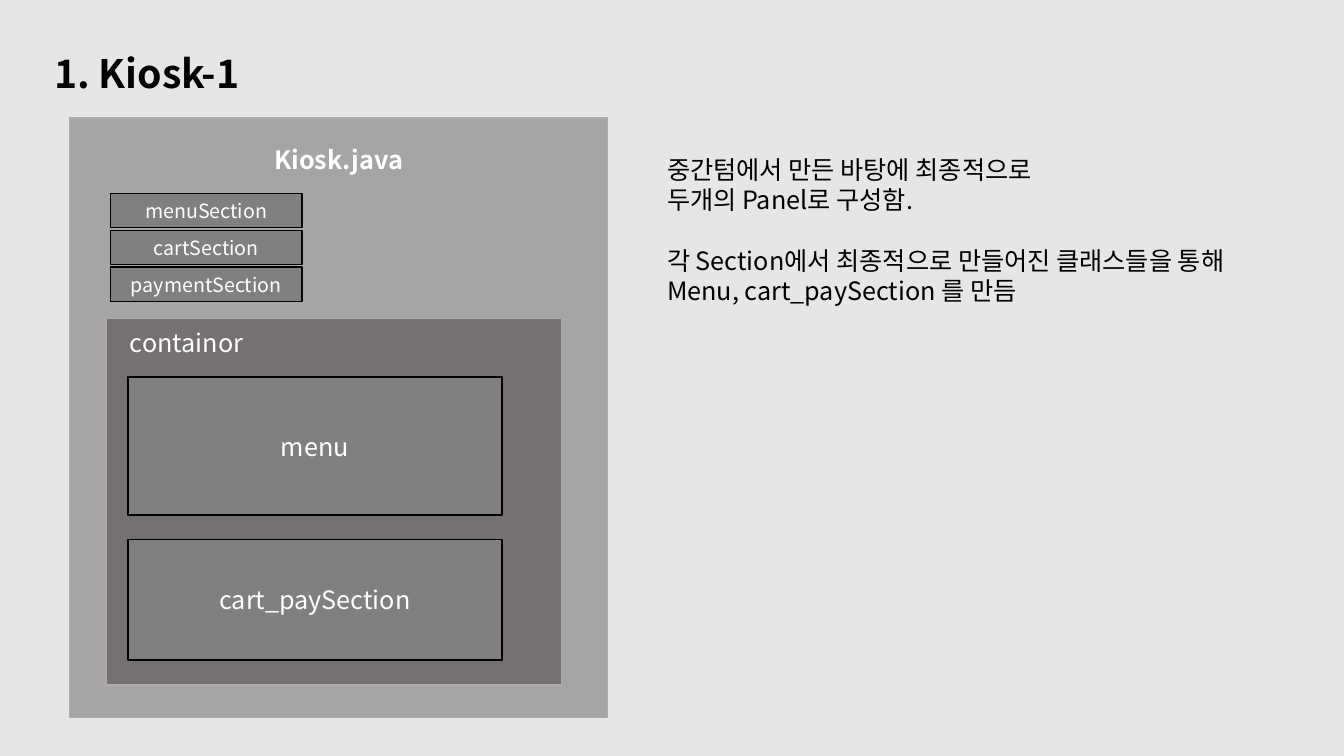
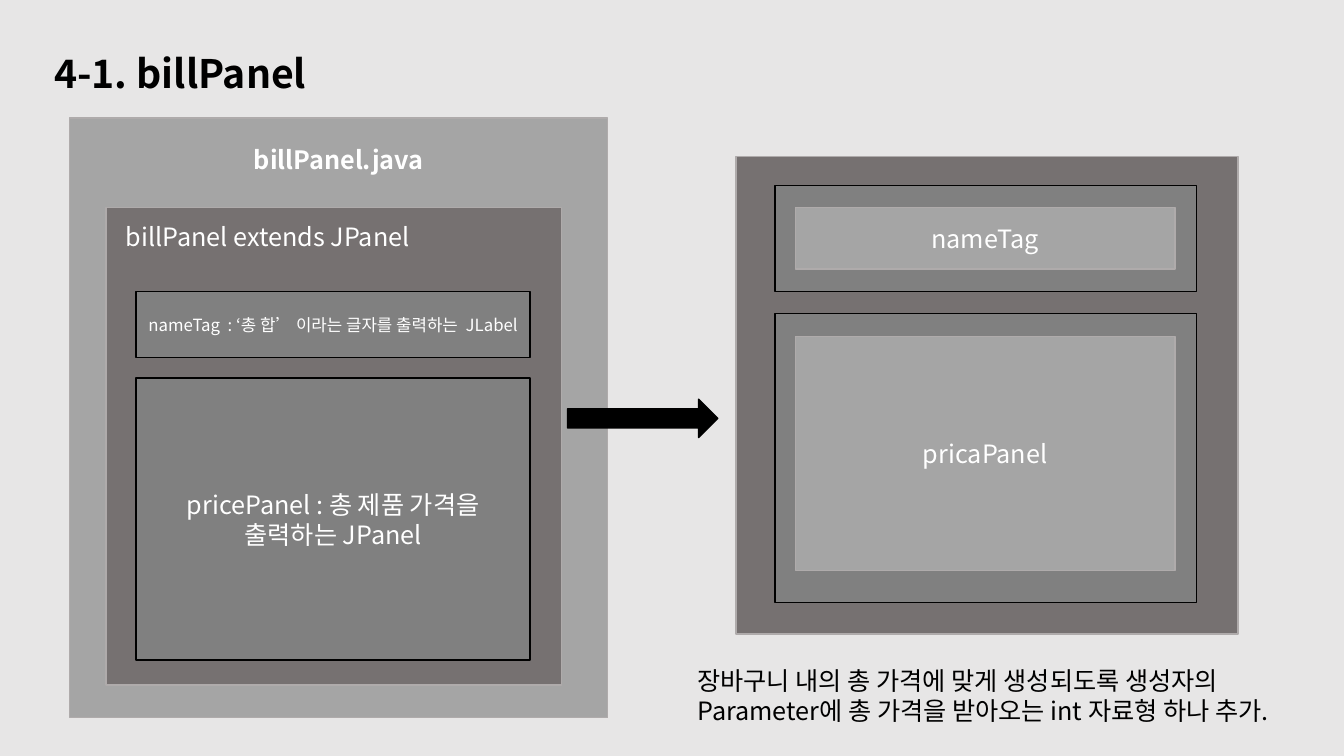
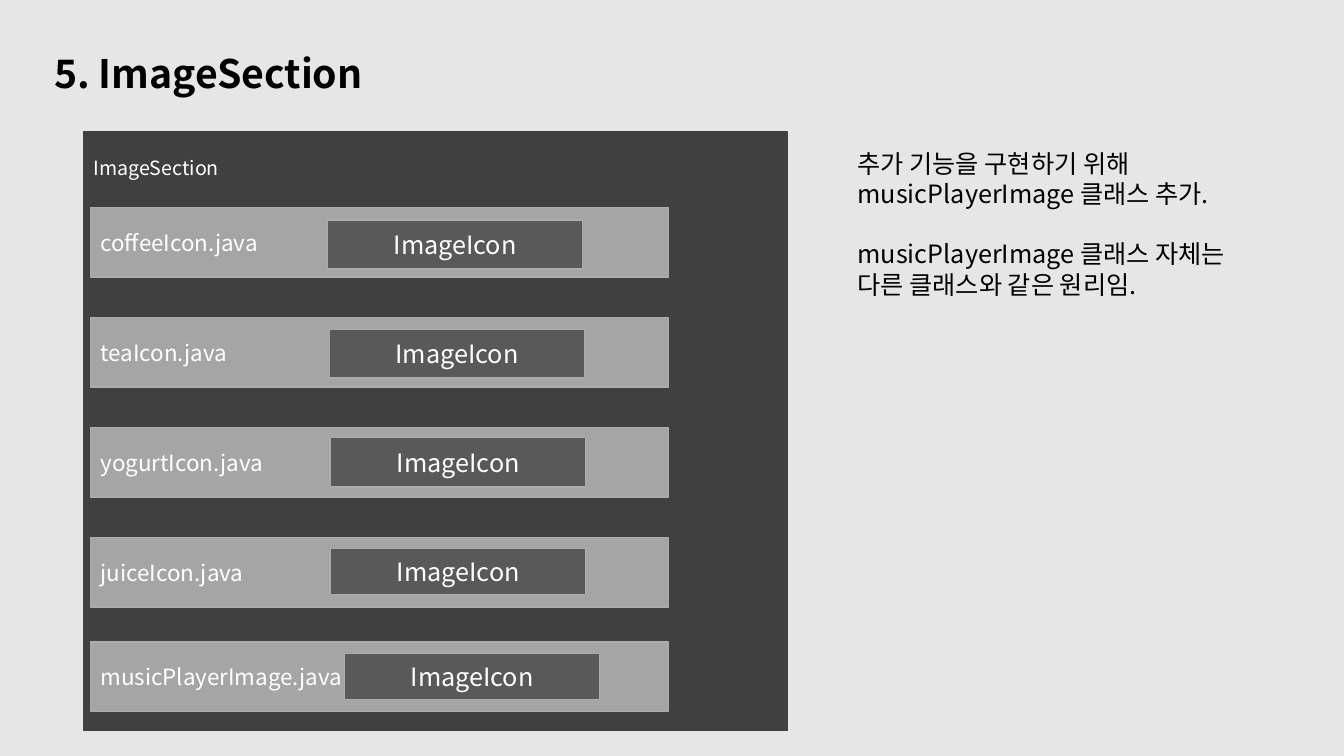
from lxml import etree
from pptx import Presentation
from pptx.dml.color import RGBColor
from pptx.enum.shapes import MSO_SHAPE
from pptx.enum.text import MSO_ANCHOR, PP_ALIGN
from pptx.oxml.ns import qn
from pptx.util import Pt

RECT, ARROW = MSO_SHAPE.RECTANGLE, MSO_SHAPE.RIGHT_ARROW
TOP, MID = MSO_ANCHOR.TOP, MSO_ANCHOR.MIDDLE
LEFT, CENTER = PP_ALIGN.LEFT, PP_ALIGN.CENTER
FONT = "Noto Sans CJK KR"
BACK, BLACK, WHITE = "E7E6E6", "000000", "FFFFFF"
LOOKS = {
    "light": ("A5A5A5", "AFABAB"),
    "panel": ("767171", "AFABAB"),
    "part": ("808080", BLACK),
    "arrow": (BLACK, BLACK),
    "dark": ("404040", "404040"),
    "icon": ("595959", "AFABAB"),
}

SECTIONS = ["menuSection", "cartSection", "paymentSection"]
KIOSK_PARTS = [("menu", 269.3, 98.6), ("cart_paySection", 385.2, 86.4)]
KIOSK_NOTE = [
    ("중간텀에서 만든 바탕에 최종적으로", "두개의 Panel로 구성함."),
    ("각 Section에서 최종적으로 만들어진 클래스들을 통해", "Menu, cart_paySection 를 만듬"),
]
BILL_PARTS = [
    ("nameTag  : ‘총 합’ 이라는 글자를 출력하는  JLabel", 208.1, 47.5, 12),
    ("pricePanel : 총 제품 가격을 출력하는 JPanel", 270, 201.6, 18),
]
BILL_VIEW = [
    ("nameTag", 132.5, 75.6, 148.3, 43.9),
    ("pricaPanel", 223.9, 206.6, 240.5, 167),
]
BILL_NOTE = [
    ("장바구니 내의 총 가격에 맞게 생성되도록 생성자의",
     "Parameter에 총 가격을 받아오는 int 자료형 하나 추가."),
]
ICONS = [
    ("coffeeIcon.java", 148.3, 234, 157, 35.3),
    ("teaIcon.java", 226.8, 235.4, 235.4, 34.6),
    ("yogurtIcon.java", 305.3, 236.2, 312.5, 35.3),
    ("juiceIcon.java", 383.8, 236.2, 391.7, 33.1),
    ("musicPlayerImage.java", 458.6, 246.2, 466.6, 33.1),
]
IMAGE_NOTE = [
    ("추가 기능을 구현하기 위해", "musicPlayerImage 클래스 추가."),
    ("musicPlayerImage 클래스 자체는 다른 클래스와 같은 원리임.",),
]


def color(code):
    return RGBColor.from_string(code)


def style(par, size, ink, bold=False, align=LEFT):
    par.alignment = align
    font = par.font
    font.size, font.bold, font.name = Pt(size), bold, FONT
    font.color.rgb = color(ink)
    props = par._p.get_or_add_pPr().find(qn("a:defRPr"))
    etree.SubElement(props, qn("a:ea")).set("typeface", FONT)


def write(slide, x, y, w, h, groups, size=18, ink=BLACK, bold=False):
    frame = slide.shapes.add_textbox(Pt(x), Pt(y), Pt(w), Pt(h)).text_frame
    frame.word_wrap = True
    frame.text = "\n".join(line for group in groups for line in group)
    pars = iter(frame.paragraphs)
    for g, group in enumerate(groups):
        for n in range(len(group)):
            par = next(pars)
            if g and n == 0:
                par.space_before = Pt(21.6)
            style(par, size, ink, bold)


def box(slide, look, x, y, w, h, text="", size=18, bold=False,
        align=CENTER, anchor=MID, kind=RECT):
    shape = slide.shapes.add_shape(kind, Pt(x), Pt(y), Pt(w), Pt(h))
    fill, line = LOOKS[look]
    shape.shadow.inherit = False
    shape.fill.solid()
    shape.fill.fore_color.rgb = color(fill)
    shape.line.color.rgb = color(line)
    shape.line.width = Pt(1)
    if text:
        frame = shape.text_frame
        frame.word_wrap = True
        frame.vertical_anchor = anchor
        frame.text = text
        style(frame.paragraphs[0], size, WHITE, bold, align)
    return shape


def start(deck, title):
    slide = deck.slides.add_slide(deck.slide_layouts[6])
    slide.background.fill.solid()
    slide.background.fill.fore_color.rgb = color(BACK)
    write(slide, 31.7, 31.7, 465.8, 41, [(title,)], 28, bold=True)
    return slide


def outline(slide, name, head, x, y, top):
    frame = box(slide, "light", 49.7, 84.2, 384.5, 428.4, name,
                bold=True, anchor=TOP)
    frame.text_frame.margin_top = Pt(19)
    box(slide, "panel", 75.6, top, 325.4, 489.3 - top)
    write(slide, x, y, 250.6, 28.8, [(head,)], ink=WHITE)


def kiosk(deck):
    slide = start(deck, "1. Kiosk-1")
    write(slide, 469.4, 106.6, 458.6, 116.6, KIOSK_NOTE)
    outline(slide, "Kiosk.java", "containor", 85.7, 230.4, 227.5)
    for i, name in enumerate(SECTIONS):
        box(slide, "part", 79, 138.2 + i * 26.3, 136.8, 24.5, name, 14)
    for name, y, h in KIOSK_PARTS:
        box(slide, "part", 91.4, y, 267.1, h, name)


def bill(deck):
    slide = start(deck, "4-1. billPanel")
    outline(slide, "billPanel.java", "billPanel extends JPanel", 82.8, 154.8, 148.3)
    for text, y, h, size in BILL_PARTS:
        box(slide, "part", 97.2, y, 281.5, h, text, size)
    box(slide, "arrow", 405.4, 285.1, 107.3, 27.4, kind=ARROW)
    box(slide, "panel", 525.6, 111.6, 358.6, 341.3)
    for name, y, h, top, high in BILL_VIEW:
        box(slide, "part", 553.7, y, 301, h)
        box(slide, "light", 568.1, top, 271.4, high, name)
    write(slide, 491, 471.6, 455, 51.1, BILL_NOTE)


def images(deck):
    slide = start(deck, "5. ImageSection")
    box(slide, "dark", 59.8, 94.3, 502.6, 427.7)
    write(slide, 59.8, 108, 502.6, 24, [("ImageSection",)], 14, WHITE)
    for name, y, x, top, high in ICONS:
        box(slide, "light", 64.8, y, 412.6, 49.7, name, 16, align=LEFT)
        box(slide, "icon", x, top, 182.2, high, "ImageIcon")
    write(slide, 605.5, 102.2, 305.3, 116.6, IMAGE_NOTE)


def main():
    deck = Presentation()
    deck.slide_width, deck.slide_height = Pt(960), Pt(540)
    for build in (kiosk, bill, images):
        build(deck)
    deck.save("out.pptx")


if __name__ == "__main__":
    main()
